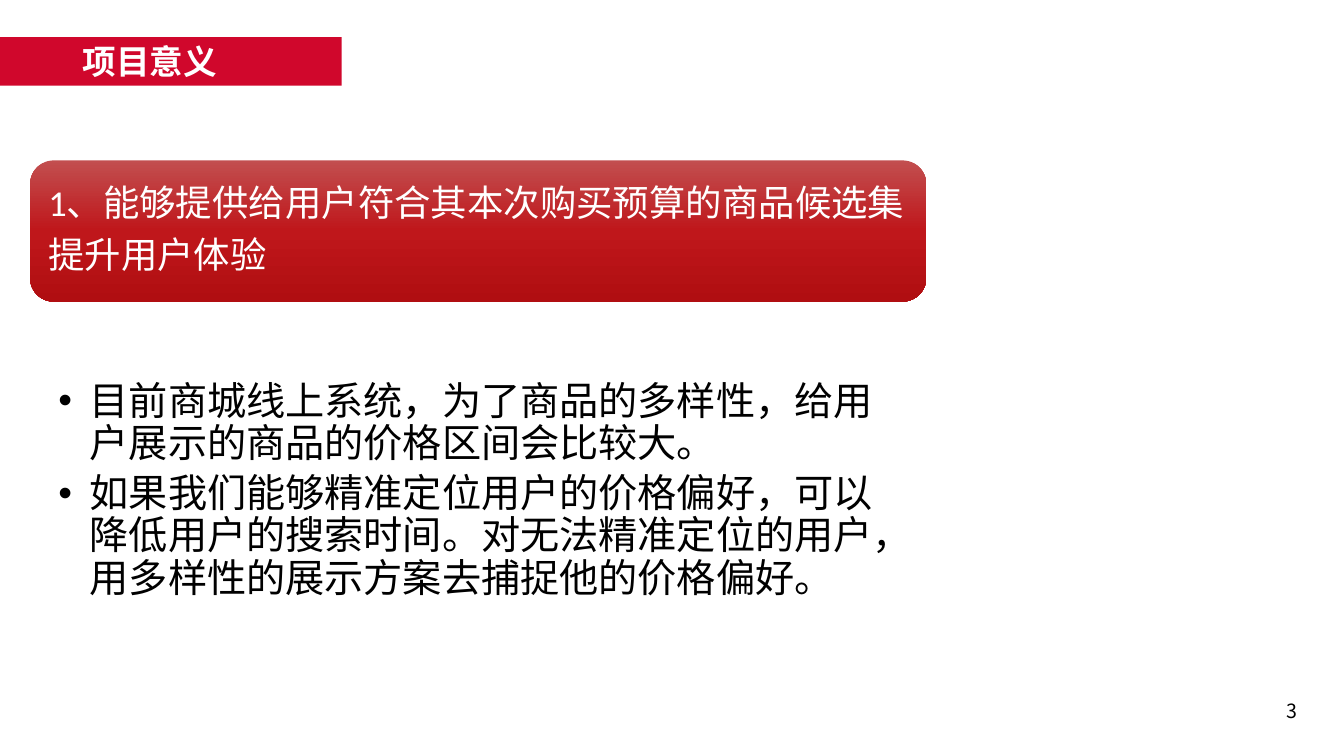
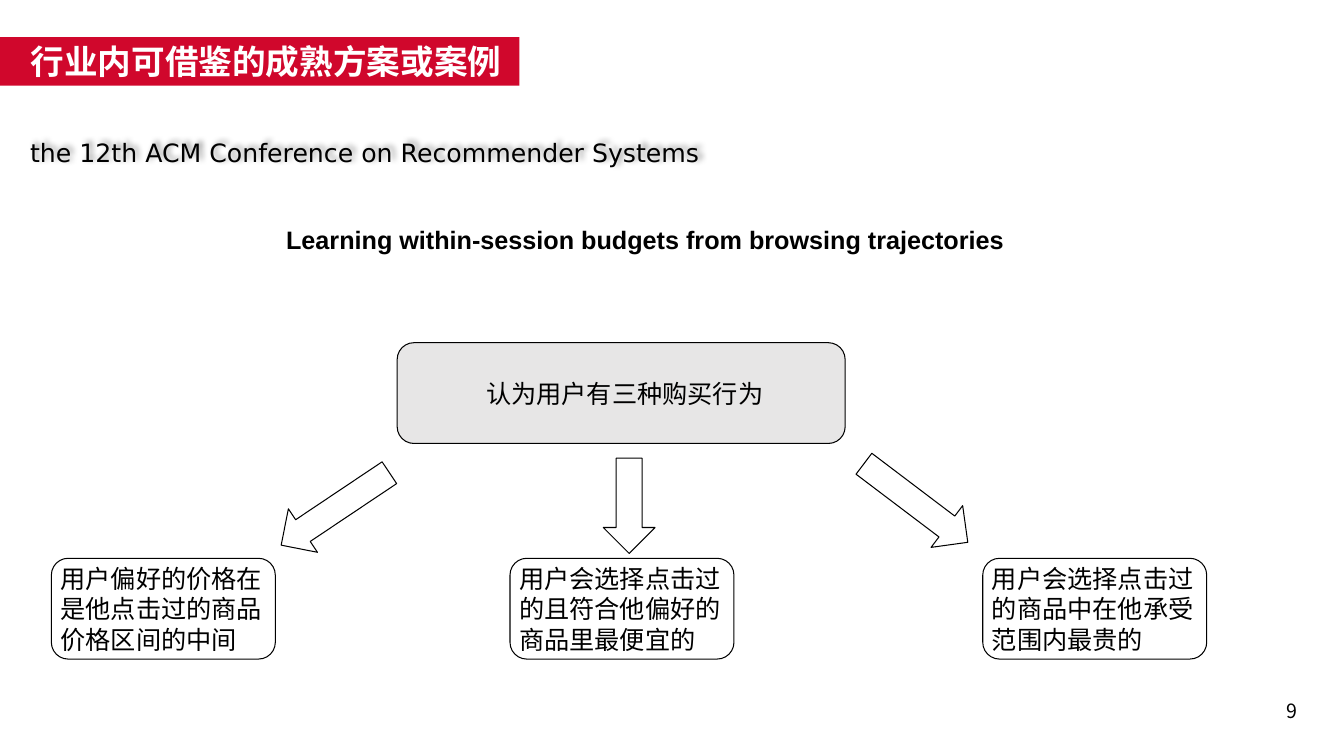
from copy import deepcopy

from lxml import etree
from pptx import Presentation
from pptx.dml.color import RGBColor
from pptx.enum.shapes import MSO_SHAPE
from pptx.enum.text import MSO_ANCHOR, MSO_AUTO_SIZE, PP_ALIGN
from pptx.oxml.ns import qn
from pptx.util import Pt

ROUNDED, ARROW = MSO_SHAPE.ROUNDED_RECTANGLE, MSO_SHAPE.RIGHT_ARROW
LEFT, RIGHT = PP_ALIGN.LEFT, PP_ALIGN.RIGHT
TOP, MIDDLE = MSO_ANCHOR.TOP, MSO_ANCHOR.MIDDLE

BLACK, WHITE, RED, GREY = "000000", "FFFFFF", "D0072C", "E7E6E6"
CARD_GRADIENT = [(0, "C24E4F"), (0.5, "BF171B"), (1, "B00E11")]
CJK_FONT = "Noto Sans CJK SC"
TITLE_AND_CONTENT, TITLE_ONLY = 1, 5
STANDARD_INSETS = (7.2, 3.6, 7.2, 3.6)

TITLE_STYLE = {"name": CJK_FONT, "size": Pt(24), "bold": True}
NUMBER_STYLE = {"name": CJK_FONT, "size": Pt(14)}
CARD_STYLE = {"name": "Calibri", "size": Pt(26)}
BODY_STYLE = {"name": "Calibri", "size": Pt(28)}
NODE_STYLE = {"name": "Calibri", "size": Pt(18)}
CONFERENCE_STYLE = {"name": "DejaVu Sans", "size": Pt(18)}
PAPER_STYLE = {"name": "Arial", "size": Pt(18), "bold": True}


def rgb(value):
    return RGBColor.from_string(value)


def set_all(target, values):
    for name, value in values.items():
        setattr(target, name, value)


def place(shape, box):
    names = ("left", "top", "width", "height")
    set_all(shape, dict(zip(names, map(Pt, box))))


def write(shape, lines, style, color=BLACK, insets=STANDARD_INSETS,
          anchor=TOP, align=LEFT, spacing=1.0, after=0, hanging=0):
    """Fill a shape with one paragraph per line; insets are left, top, right, bottom."""
    frame = shape.text_frame
    set_all(frame, {"word_wrap": True, "auto_size": MSO_AUTO_SIZE.NONE,
                    "vertical_anchor": anchor})
    margins = ("margin_left", "margin_top", "margin_right", "margin_bottom")
    set_all(frame, dict(zip(margins, map(Pt, insets))))
    frame.text = "\n".join(lines)
    for paragraph in frame.paragraphs:
        set_all(paragraph, {"alignment": align, "line_spacing": spacing,
                            "space_before": Pt(0), "space_after": Pt(after)})
        if hanging:
            properties = paragraph._p.get_or_add_pPr()
            properties.set("marL", str(Pt(hanging)))
            properties.set("indent", str(-Pt(hanging)))
        for run in paragraph.runs:
            set_all(run.font, style)
            run.font.color.rgb = rgb(color)
            east_asian = etree.Element(qn("a:ea"), typeface=CJK_FONT)
            run.font._rPr.find(qn("a:latin")).addnext(east_asian)


def add_text(slide, box, text, style, **layout):
    shape = slide.shapes.add_textbox(*map(Pt, box))
    write(shape, [text], style, **layout)
    return shape


def add_outlined(slide, preset, box, fill=None):
    shape = slide.shapes.add_shape(preset, *map(Pt, box))
    shape.shadow.inherit = False
    if fill:
        shape.fill.solid()
        shape.fill.fore_color.rgb = rgb(fill)
    else:
        shape.fill.background()
    shape.line.color.rgb = rgb(BLACK)
    shape.line.width = Pt(0.75)
    return shape


def add_base_slide(presentation, layout, title, band_width, title_inset, number):
    slide = presentation.slides.add_slide(presentation.slide_layouts[layout])
    band = slide.shapes.title
    place(band, (0, 26.6, band_width, 34.6))
    band.fill.solid()
    band.fill.fore_color.rgb = rgb(RED)
    write(band, [title], TITLE_STYLE, WHITE, (title_inset, 0, 0, 0), MIDDLE)
    add_text(slide, (718, 495.4, 216, 29), number, NUMBER_STYLE, align=RIGHT)
    return slide


def add_gradient_card(slide, box, lines):
    card = slide.shapes.add_shape(ROUNDED, *map(Pt, box))
    card.shadow.inherit = False
    card.line.fill.background()
    card.fill.gradient()
    card.fill.gradient_angle = 270
    stop_list = card._element.spPr.find(".//" + qn("a:gsLst"))
    stop_list.append(deepcopy(stop_list[0]))
    for stop, (position, color) in zip(card.fill.gradient_stops, CARD_GRADIENT):
        stop.position = position
        stop.color.rgb = rgb(color)
    write(card, lines, CARD_STYLE, WHITE, (8, 8, 8, 8), MIDDLE,
          spacing=0.9, after=9)


def add_soft_shadow(shape):
    effects = etree.SubElement(shape._element.spPr, qn("a:effectLst"))
    shadow = etree.SubElement(effects, qn("a:outerShdw"), blurRad=str(Pt(4)),
                              dist=str(Pt(3)), dir="18900000", algn="bl",
                              rotWithShape="0")
    color = etree.SubElement(shadow, qn("a:srgbClr"), val=BLACK)
    etree.SubElement(color, qn("a:alpha"), val="40000")


def add_behaviour_diagram(slide, left, top, root_text, behaviours):
    """Draw the root box with an arrow towards each behaviour box."""
    root = add_outlined(slide, ROUNDED, (left + 247, top, 320, 72), GREY)
    write(root, [root_text], NODE_STYLE, insets=(60, 0, 0, 0), anchor=MIDDLE)
    for text, offset, arrow_box, angle in behaviours:
        node = add_outlined(slide, ROUNDED, (left + offset, top + 154, 160, 72))
        write(node, [text], NODE_STYLE, insets=(3, 0, 3, 0), anchor=MIDDLE)
        x, y, width, height = arrow_box
        arrow = add_outlined(slide, ARROW, (left + x, top + y, width, height))
        arrow.rotation = angle


def add_significance_slide(presentation):
    slide = add_base_slide(presentation, TITLE_AND_CONTENT, "项目意义", 244, 59, "3")
    left, width = 21.6, 640
    add_gradient_card(slide, (left, 114.6, width, 100.8), [
        "1、能够提供给用户符合其本次购买预算的商品候选集",
        "提升用户体验",
    ])
    body = slide.placeholders[1]
    place(body, (left, 269.3, width, 203.8))
    write(body, [
        "目前商城线上系统，为了商品的多样性，给用户展示的商品的价格区间会比较大。",
        "如果我们能够精准定位用户的价格偏好，可以降低用户的搜索时间。"
        "对无法精准定位的用户，用多样性的展示方案去捕捉他的价格偏好。",
    ], BODY_STYLE, insets=(20, 3, 16, 3), spacing=0.9, after=5.6, hanging=22.5)


def add_industry_slide(presentation):
    slide = add_base_slide(presentation, TITLE_ONLY,
                           "行业内可借鉴的成熟方案或案例", 371, 22, "9")
    conference = add_text(slide, (14.4, 94.3, 502.6, 29),
                          "the 12th ACM Conference on Recommender Systems",
                          CONFERENCE_STYLE)
    add_soft_shadow(conference)
    add_text(slide, (197.3, 157, 550, 29),
             "Learning within-session budgets from browsing trajectories",
             PAPER_STYLE)
    add_behaviour_diagram(slide, 36.7, 244.8, "认为用户有三种购买行为", [
        ("用户偏好的价格在是他点击过的商品价格区间的中间",
         0, (156.3, 100, 93, 37.4), 146.2),
        ("用户会选择点击过的且符合他偏好的商品里最便宜的",
         327.6, (378.7, 98, 68, 37), 90),
        ("用户会选择点击过的商品中在他承受范围内最贵的",
         665.3, (571, 95.8, 93, 37.4), 37.1),
    ])


def main():
    presentation = Presentation()
    presentation.slide_width, presentation.slide_height = Pt(960), Pt(540)
    add_significance_slide(presentation)
    add_industry_slide(presentation)
    presentation.save("out.pptx")


if __name__ == "__main__":
    main()
